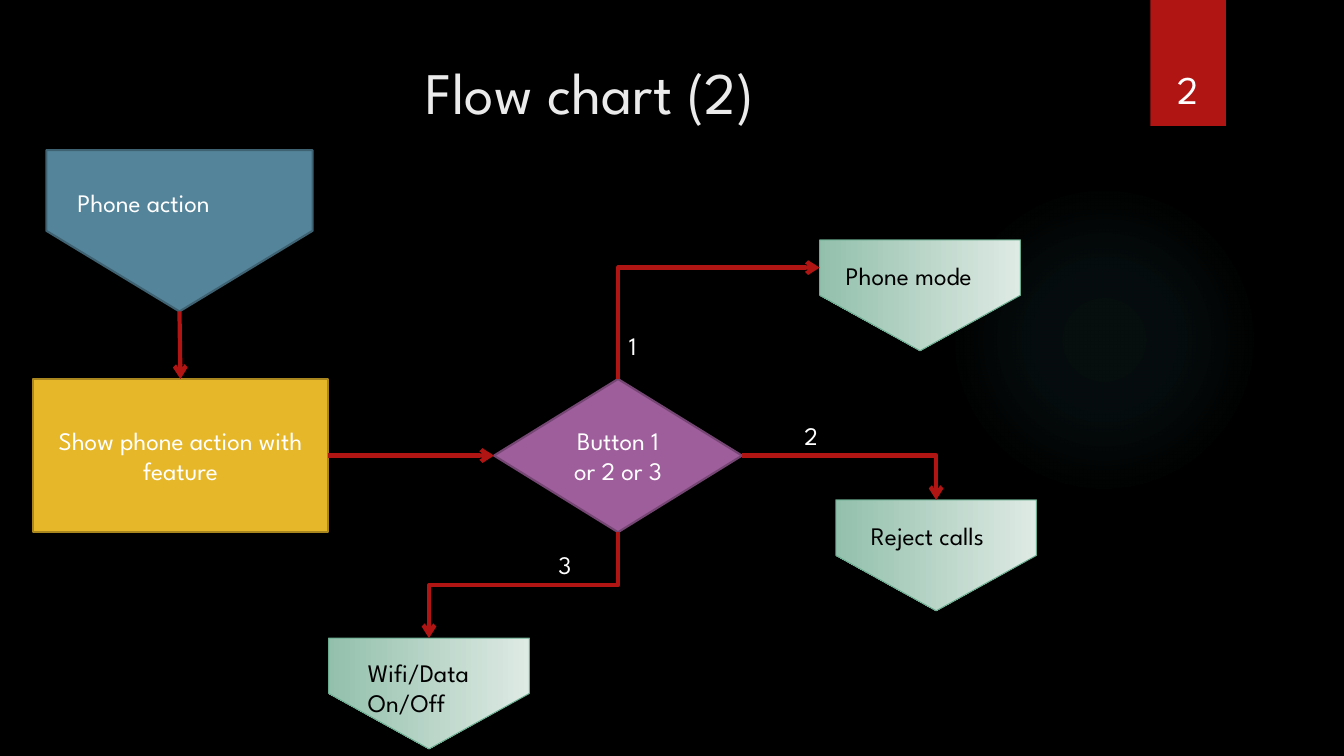
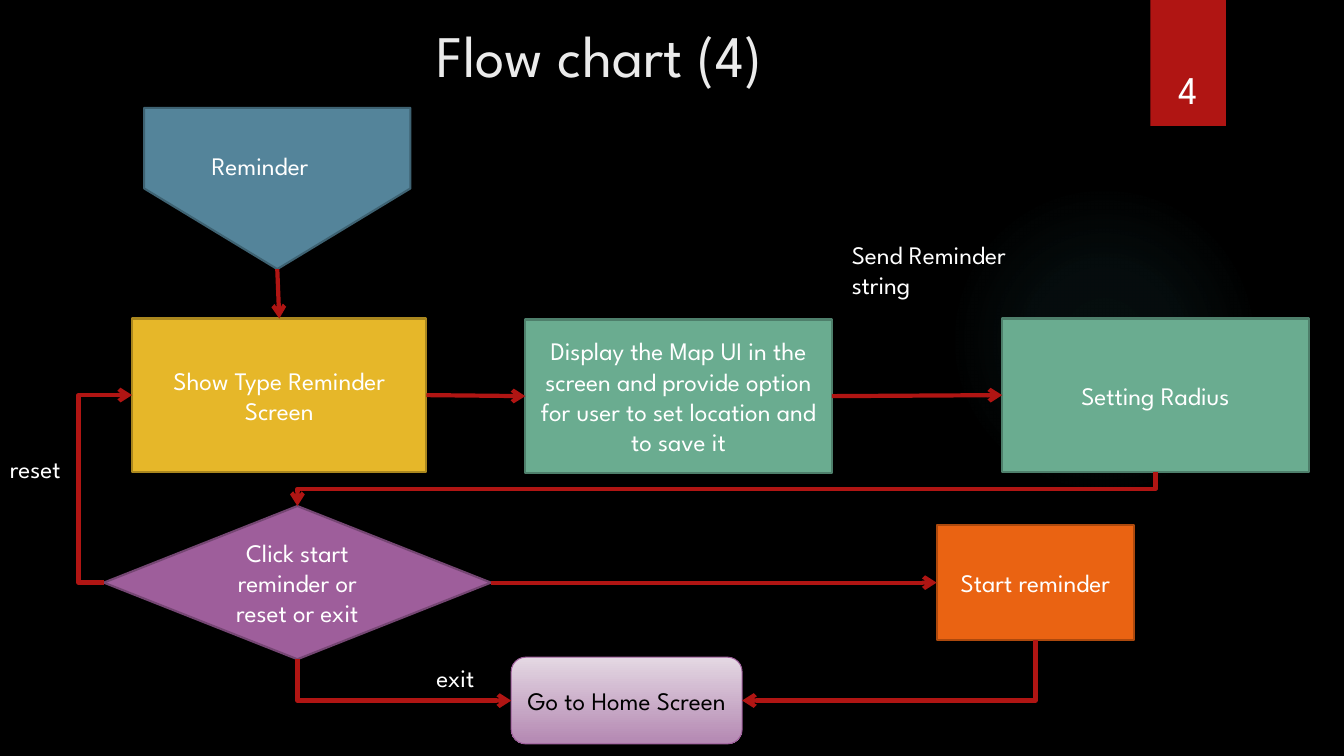
from lxml import etree
from pptx import Presentation
from pptx.dml.color import RGBColor
from pptx.enum import shapes, text
from pptx.oxml import parse_xml
from pptx.oxml.ns import nsdecls, qn
from pptx.util import Inches, Pt

FONT = "League Spartan"
COLORS = {
    "background": "000000", "black": "000000", "white": "FFFFFF", "title": "EBEBEB",
    "red": "B01513", "glow": "50B9C1",
    "blue": "54849A", "blue edge": "3E6272",
    "yellow": "E6B729", "yellow edge": "AA871E",
    "purple": "9E5E9B", "purple edge": "754673",
    "green": "6AAC90", "green edge": "4E7F6B",
    "orange": "EA6312", "orange edge": "AD490D",
    "mint light": "DEEAE4", "mint dark": "93C0AC",
    "lilac light": "E4D8E3", "lilac dark": "B488B2",
}
SHAPE = shapes.MSO_SHAPE
TOP, LEFT, BOTTOM, RIGHT = range(4)
SITES = [(0.5, 0), (0, 0.5), (0.5, 1), (1, 0.5)]
# Connection sites of a pentagon before its quarter turn; the tip is the last one.
PENTAGON_SITES = [(0.25, 0), (0, 0.5), (0.25, 1), (1, 0.5)]
FLAT, SHOULDER, TIP = 1, 2, 3


def rgb(name):
    return RGBColor.from_string(COLORS[name])


def write(frame, lines, size=18, color="white", align=text.PP_ALIGN.LEFT):
    for number, line in enumerate(lines.split("\n")):
        para = frame.paragraphs[0] if number == 0 else frame.add_paragraph()
        para.alignment = align
        span = para.add_run()
        span.text = line
        span.font.name = FONT
        span.font.size = Pt(size)
        span.font.color.rgb = rgb(color)


def add_label(page, left, top, width, height, lines, color="white"):
    box = page.shapes.add_textbox(*map(Inches, (left, top, width, height)))
    box.text_frame.word_wrap = False
    box.text_frame.auto_size = text.MSO_AUTO_SIZE.SHAPE_TO_FIT_TEXT
    write(box.text_frame, lines, color=color)


def add_heading(page, left, top, width, height, words, size, color, anchor):
    box = page.shapes.add_textbox(*map(Inches, (left, top, width, height)))
    box.text_frame.word_wrap = True
    box.text_frame.vertical_anchor = anchor
    write(box.text_frame, words, size, color, text.PP_ALIGN.CENTER)


def add_block(page, kind, left, top, width, height, color, words=None):
    block = page.shapes.add_shape(kind, *map(Inches, (left, top, width, height)))
    block.shadow.inherit = False
    block.fill.solid()
    block.fill.fore_color.rgb = rgb(color)
    if color + " edge" in COLORS:
        block.line.color.rgb = rgb(color + " edge")
        block.line.width = Pt(1.5)
    else:
        block.line.fill.background()
    if words:
        block.text_frame.word_wrap = True
        block.text_frame.vertical_anchor = text.MSO_ANCHOR.MIDDLE
        write(block.text_frame, words, align=text.PP_ALIGN.CENTER)
    return block


def shade(block, tint, edge):
    """Give a block a light-to-dark gradient and a thin edge."""
    block.fill.gradient()
    block.fill.gradient_angle = 270
    for stop, tone in zip(block.fill.gradient_stops, ("light", "dark")):
        stop.color.rgb = rgb(f"{tint} {tone}")
    block.line.color.rgb = rgb(edge)
    block.line.width = Pt(0.75)


def add_pentagon(page, left, top, width, height):
    """Add a pentagon pointing down; the frame is the one seen after the turn."""
    shift = (width - height) / 2
    pentagon = add_block(page, SHAPE.PENTAGON, left + shift, top - shift,
                         height, width, "blue")
    pentagon.rotation = 90
    return pentagon


def add_target(page, left, top):
    target = add_pentagon(page, left, top, 1.99, 1.1)
    shade(target, "mint", "green")
    return target


def site_point(block, site):
    """Return the place of a connection site on the page."""
    turned = block.rotation == 90
    across, down = (PENTAGON_SITES if turned else SITES)[site]
    x, y = (across - 0.5) * block.width, (down - 0.5) * block.height
    if turned:
        x, y = -y, x
    return (round(block.left + block.width / 2 + x),
            round(block.top + block.height / 2 + y))


def add_arrow(page, source, source_site, target, target_site, bends=0, bend_at=None):
    """Join two blocks by an arrow with up to two bends; bend_at is a share of its run."""
    x1, y1 = site_point(source, source_site)
    x2, y2 = site_point(target, target_site)
    kinds = shapes.MSO_CONNECTOR
    arrow = page.shapes.add_connector(kinds.ELBOW if bends else kinds.STRAIGHT,
                                      x1, y1, x2, y2)
    arrow.begin_connect(source, source_site)
    arrow.end_connect(target, target_site)

    # Joining assumes unturned blocks, so the frame is set afterwards.
    width, height = abs(x2 - x1), abs(y2 - y1)
    flips = x2 < x1, y2 < y1
    frame = arrow._element.spPr.find(qn("a:xfrm"))
    if bends and source_site in (TOP, BOTTOM):
        width, height = height, width
        flips = y2 < y1, x2 > x1
        frame.set("rot", "5400000")
    arrow.left = round((x1 + x2 - width) / 2)
    arrow.top = round((y1 + y2 - height) / 2)
    arrow.width, arrow.height = width, height
    for name, flipped in zip(("flipH", "flipV"), flips):
        frame.set(name, str(int(flipped)))

    properties = arrow._element.spPr
    outline = properties.find(qn("a:prstGeom"))
    if bends:
        outline.set("prst", f"bentConnector{bends + 1}")
    if bend_at is not None:
        guides = outline.find(qn("a:avLst"))
        etree.SubElement(guides, qn("a:gd"), name="adj1",
                         fmla=f"val {round(bend_at * 100000)}")
    arrow.line.color.rgb = rgb("red")
    arrow.line.width = Pt(3)
    etree.SubElement(properties.find(qn("a:ln")), qn("a:tailEnd"), type="arrow")
    etree.SubElement(properties, qn("a:effectLst"))


def add_glow(page):
    glow = add_block(page, SHAPE.OVAL, 9.41, 1.83, 3.08, 3.08, "glow")
    stops = "".join(
        f'<a:gs pos="{place * 1000}"><a:srgbClr val="{COLORS["glow"]}">'
        f'<a:alpha val="{alpha * 1000}"/></a:srgbClr></a:gs>'
        for place, alpha in ((0, 7), (36, 6), (69, 0)))
    gradient = parse_xml(
        f'<a:gradFill {nsdecls("a")}><a:gsLst>{stops}</a:gsLst><a:path path="circle">'
        '<a:fillToRect l="50000" t="50000" r="50000" b="50000"/></a:path></a:gradFill>')
    properties = glow._element.spPr
    properties.replace(properties.find(qn("a:solidFill")), gradient)


def add_page(deck, number, title_left, title_top):
    page = deck.slides.add_slide(deck.slide_layouts[6])
    page.background.fill.solid()
    page.background.fill.fore_color.rgb = rgb("background")
    add_glow(page)
    add_block(page, SHAPE.RECTANGLE, 11.41, 0, 0.75, 1.25, "red")
    add_heading(page, 11.32, 0.32, 0.92, 0.84, str(number), 28, "white",
                text.MSO_ANCHOR.BOTTOM)
    add_heading(page, title_left, title_top, 10.29, 1.53, f"Flow chart ({number})",
                42, "title", text.MSO_ANCHOR.TOP)
    return page


def build_phone_action(deck):
    page = add_page(deck, 2, 0.71, 0.5)
    start = add_pentagon(page, 0.46, 1.49, 2.64, 1.6)
    add_label(page, 0.67, 1.81, 2.23, 0.4, "Phone action")
    feature = add_block(page, SHAPE.RECTANGLE, 0.33, 3.76, 2.92, 1.52, "yellow",
                        "Show phone action with feature")
    choice = add_block(page, SHAPE.FLOWCHART_DECISION, 4.9, 3.76, 2.46, 1.52, "purple",
                       "Button 1 or 2 or 3")
    mode = add_target(page, 8.13, 2.38)
    reject = add_target(page, 8.29, 4.96)
    network = add_target(page, 3.26, 6.33)
    add_label(page, 3.55, 6.47, 1.42, 0.71, "Wifi/Data\nOn/Off", "black")
    add_label(page, 8.54, 5.11, 1.59, 0.4, "Reject calls", "black")
    add_label(page, 8.29, 2.53, 1.8, 0.4, "Phone mode", "black")

    add_arrow(page, start, TIP, feature, TOP)
    add_arrow(page, feature, RIGHT, choice, LEFT)
    add_arrow(page, choice, TOP, mode, SHOULDER, bends=1)
    add_arrow(page, choice, RIGHT, reject, FLAT, bends=1)
    add_arrow(page, choice, BOTTOM, network, FLAT, bends=2)
    for left, top, words in ((6.14, 3.23, "1"), (7.88, 4.12, "2"), (5.44, 5.4, "3")):
        add_label(page, left, top, 0.34, 0.4, words)


def build_reminder(deck):
    page = add_page(deck, 4, 0.8, 0.14)
    start = add_pentagon(page, 1.43, 1.07, 2.64, 1.6)
    add_label(page, 2, 1.44, 1.63, 0.4, "Reminder")
    entry = add_block(page, SHAPE.RECTANGLE, 1.31, 3.16, 2.92, 1.52, "yellow",
                      "Show Type Reminder Screen")
    choice = add_block(page, SHAPE.FLOWCHART_DECISION, 1.03, 5.02, 3.84, 1.52, "purple",
                       "Click start reminder or reset or exit")
    location = add_block(
        page, SHAPE.RECTANGLE, 5.21, 3.17, 3.04, 1.52, "green",
        "Display the Map UI in the screen and provide option for user to set location "
        "and to save it")
    home = add_block(page, SHAPE.ROUNDED_RECTANGLE, 5.07, 6.52, 2.29, 0.86, "purple")
    shade(home, "lilac", "purple")
    home.text_frame.word_wrap = True
    home.text_frame.vertical_anchor = text.MSO_ANCHOR.MIDDLE
    write(home.text_frame, "Go to Home Screen", color="black",
          align=text.PP_ALIGN.CENTER)
    launch = add_block(page, SHAPE.RECTANGLE, 9.29, 5.21, 1.96, 1.14, "orange",
                       "Start reminder")
    radius = add_block(page, SHAPE.RECTANGLE, 9.94, 3.16, 3.04, 1.52, "green",
                       "Setting Radius")
    add_label(page, 4.23, 6.52, 0.62, 0.4, "exit")
    add_label(page, 0, 4.45, 0.79, 0.4, "reset")
    add_label(page, 8.35, 2.32, 2.13, 0.71, "Send Reminder\nstring")

    add_arrow(page, start, TIP, entry, TOP)
    add_arrow(page, entry, RIGHT, location, LEFT)
    add_arrow(page, location, RIGHT, radius, LEFT)
    add_arrow(page, radius, BOTTOM, choice, TOP, bends=2)
    add_arrow(page, choice, RIGHT, launch, LEFT)
    add_arrow(page, choice, BOTTOM, home, LEFT, bends=1)
    add_arrow(page, choice, LEFT, entry, LEFT, bends=2, bend_at=-0.9)
    add_arrow(page, launch, BOTTOM, home, RIGHT, bends=1)


def main():
    deck = Presentation()
    deck.slide_width, deck.slide_height = Inches(13.33), Inches(7.5)
    build_phone_action(deck)
    build_reminder(deck)
    deck.save("out.pptx")


if __name__ == "__main__":
    main()
